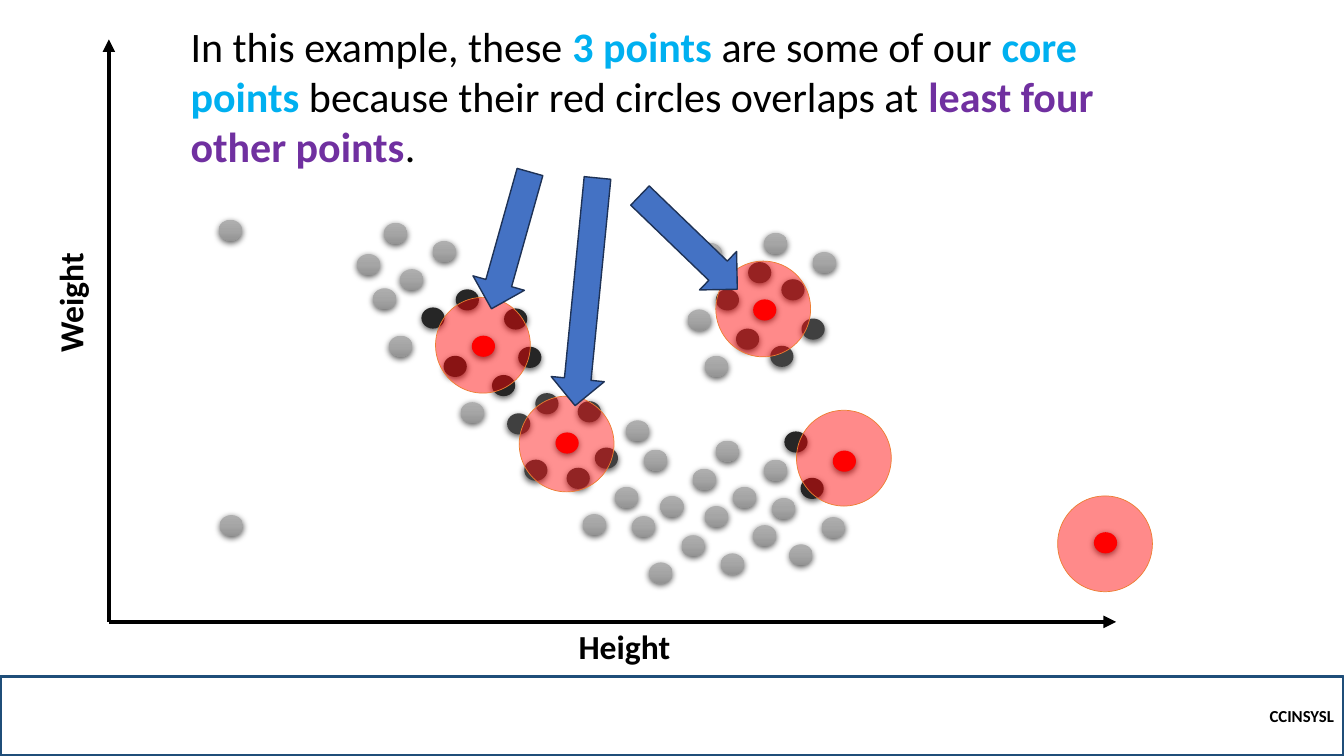
from copy import deepcopy
from dataclasses import dataclass

from lxml import etree
from pptx import Presentation
from pptx.dml.color import RGBColor
from pptx.enum.shapes import MSO_CONNECTOR, MSO_SHAPE
from pptx.enum.text import MSO_ANCHOR, MSO_AUTO_SIZE, PP_ALIGN
from pptx.oxml.ns import qn
from pptx.util import Inches, Pt

STRAIGHT = MSO_CONNECTOR.STRAIGHT
RECTANGLE, OVAL, ARROW = MSO_SHAPE.RECTANGLE, MSO_SHAPE.OVAL, MSO_SHAPE.RIGHT_ARROW
TOP, MIDDLE = MSO_ANCHOR.TOP, MSO_ANCHOR.MIDDLE
GROW = MSO_AUTO_SIZE.SHAPE_TO_FIT_TEXT
LEFT, RIGHT = PP_ALIGN.LEFT, PP_ALIGN.RIGHT
TITLE_ONLY = 5

# Grid: every position and length is a number of columns or rows
COLUMNS, ROWS = 13.33, 7.5
SLIDE_WIDTH, SLIDE_HEIGHT = Inches(13.33), Inches(7.5)


@dataclass(frozen=True)
class Theme:
    font: str = "Calibri"
    text: str = "000000"
    core: str = "00B0F0"
    neighbours: str = "7030A0"
    centre: str = "FF0000"
    ring_line: str = "ED7D31"
    near: str = "262626"
    close: str = "404040"
    far: tuple = ("AFAFAF", "A5A5A5", "939393")
    pointer: str = "4472C4"
    pointer_line: str = "1E3256"
    footer_line: str = "1F4E79"
    statement_size: int = 30
    label_size: int = 24
    footer_size: int = 12


THEME = Theme()
DOT = (0.23, 0.21)
RING = (0.94, 0.95)
POINTER_THICKNESS = 0.53
ORIGIN = (1.08, 6.17)
AXIS_ENDS = [(11.07, 6.17), (1.08, 0.39)]

# Top left corners of the data points, by cluster
FAR_POINTS = [
    (2.17, 2.18), (2.18, 5.11),
    (3.81, 2.21), (3.97, 2.67), (4.29, 2.39), (3.7, 2.86), (3.86, 3.33),
    (3.54, 2.52), (4.57, 3.99),
    (5.63, 3.63), (6.21, 4.17), (5.78, 5.1), (6.1, 4.83), (6.39, 4.46),
    (6.55, 4.92), (6.87, 4.65), (6.27, 5.12), (6.44, 5.58), (6.76, 5.31),
    (7.1, 4.37), (7.27, 4.83), (7.58, 4.56), (6.99, 5.02), (7.15, 5.49),
    (7.47, 5.21), (7.66, 4.94), (7.83, 5.4), (8.15, 5.13),
    (6.93, 2.41), (6.82, 3.07), (6.99, 3.53), (7.58, 2.31), (8.06, 2.5),
]
NEAR_POINTS = [
    (4.18, 3.05), (4.52, 2.87), (5, 3.06), (4.4, 3.53), (4.88, 3.72),
    (5.14, 3.44), (7.78, 4.28), (7.94, 4.74),
]
CLOSE_POINTS = [
    (5.31, 3.9), (5.03, 4.1), (5.2, 4.56), (5.73, 3.98), (5.9, 4.44), (5.62, 4.64),
    (7.1, 2.87), (7.42, 2.6), (7.3, 3.26), (7.75, 2.77), (7.64, 3.43), (7.95, 3.16),
]
CENTRE_POINTS = [(4.68, 3.33), (5.51, 4.29), (8.26, 4.47), (7.47, 2.97), (10.85, 5.28)]

# Left, top, opacity in percent
RINGS = [(4.32, 2.95, 46), (5.15, 3.93, 43), (7.1, 2.59, 46), (7.9, 4.07, 46),
         (10.49, 4.92, 46)]
# Left, top, length, rotation
POINTERS = [(4.36, 2.12, 1.41, 105.7), (6.16, 2.14, 1.34, 43.9), (4.68, 2.63, 2.27, 95.6)]

STATEMENT = [
    ("In this example, these ", THEME.text, False),
    ("3 points", THEME.core, True),
    (" are some of our ", THEME.text, False),
    ("core points", THEME.core, True),
    (" because their red circles overlaps at ", THEME.text, False),
    ("least four other points", THEME.neighbours, True),
    (".", THEME.text, False),
]


def rgb(colour):
    return RGBColor.from_string(colour)


def across(columns):
    return round(SLIDE_WIDTH * columns / COLUMNS)


def down(rows):
    return round(SLIDE_HEIGHT * rows / ROWS)


def box(left, top, width, height):
    return across(left), down(top), across(width), down(height)


def add_alpha(parent, percent):
    etree.SubElement(parent, qn("a:alpha"), val=str(percent * 1000))


def add_plain_shape(slide, kind, place, fill=None, line=None, line_width=1):
    shape = slide.shapes.add_shape(kind, *box(*place))
    shape.shadow.inherit = False
    if fill:
        shape.fill.solid()
        shape.fill.fore_color.rgb = rgb(fill)
    else:
        shape.fill.background()
    if line:
        shape.line.color.rgb = rgb(line)
        shape.line.width = Pt(line_width)
    else:
        shape.line.fill.background()
    return shape


def shade(fill, colours):
    fill.gradient()
    fill.gradient_angle = 270
    first = fill._xPr.find(".//" + qn("a:gs"))
    first.addnext(deepcopy(first))
    for stop, position, colour in zip(fill.gradient_stops, (0, 0.5, 1), colours):
        stop.position = position
        stop.color.rgb = rgb(colour)


def add_data_point(slide, corner, colour):
    point = add_plain_shape(slide, OVAL, corner + DOT)
    if isinstance(colour, tuple):
        shade(point.fill, colour)
    else:
        point.fill.solid()
        point.fill.fore_color.rgb = rgb(colour)
    # Soft shadow just below the point
    effects = point._element.spPr.find(qn("a:effectLst"))
    shadow = etree.SubElement(effects, qn("a:outerShdw"), blurRad=str(Pt(4.5)),
                              dist=str(Pt(1.5)), dir="5400000", algn="ctr", rotWithShape="0")
    add_alpha(etree.SubElement(shadow, qn("a:srgbClr"), val="000000"), 63)


def add_ring(slide, left, top, opacity):
    ring = add_plain_shape(slide, OVAL, (left, top) + RING, THEME.centre,
                           THEME.ring_line, 0.5)
    add_alpha(ring._element.spPr.find(qn("a:solidFill"))[0], opacity)


def add_pointer(slide, left, top, length, rotation):
    pointer = add_plain_shape(slide, ARROW, (left, top, length, POINTER_THICKNESS),
                              THEME.pointer, THEME.pointer_line)
    pointer.rotation = rotation


def add_axis(slide, end):
    axis = slide.shapes.add_connector(STRAIGHT, across(ORIGIN[0]), down(ORIGIN[1]),
                                      across(end[0]), down(end[1]))
    axis.line.color.rgb = rgb(THEME.text)
    axis.line.width = Pt(3)
    etree.SubElement(axis.line._get_or_add_ln(), qn("a:tailEnd"), type="triangle")
    etree.SubElement(axis._element.spPr, qn("a:effectLst"))


def write_bold(paragraph, text, size, alignment):
    paragraph.text = text
    paragraph.alignment = alignment
    font = paragraph.font
    font.name, font.size, font.bold = THEME.font, Pt(size), True
    font.color.rgb = rgb(THEME.text)


def add_axis_label(slide, text, place, rotation=0):
    label = slide.shapes.add_textbox(*box(*place))
    label.rotation = rotation
    label.text_frame.word_wrap = False
    label.text_frame.auto_size = GROW
    write_bold(label.text_frame.paragraphs[0], text, THEME.label_size, LEFT)


def add_footer(slide, text):
    footer = add_plain_shape(slide, RECTANGLE, (0, 6.71, COLUMNS, 0.79),
                             line=THEME.footer_line, line_width=2.25)
    footer.text_frame.vertical_anchor = MIDDLE
    write_bold(footer.text_frame.paragraphs[0], text, THEME.footer_size, RIGHT)


def write_statement(slide):
    title = slide.shapes.title
    title.left, title.top, title.width, title.height = box(1.79, 0.15, 9.28, 1.62)
    frame = title.text_frame
    frame.word_wrap, frame.auto_size, frame.vertical_anchor = True, GROW, TOP
    paragraph = frame.paragraphs[0]
    paragraph.alignment = LEFT
    paragraph.font.name, paragraph.font.size = THEME.font, Pt(THEME.statement_size)
    for text, colour, bold in STATEMENT:
        run = paragraph.add_run()
        run.text, run.font.bold = text, bold
        run.font.color.rgb = rgb(colour)


def main():
    deck = Presentation()
    deck.slide_width, deck.slide_height = SLIDE_WIDTH, SLIDE_HEIGHT
    slide = deck.slides.add_slide(deck.slide_layouts[TITLE_ONLY])

    # Statement, footer and axes
    write_statement(slide)
    add_footer(slide, "CCINSYSL")
    for end in AXIS_ENDS:
        add_axis(slide, end)

    # Data points
    for corners, colour in [(FAR_POINTS, THEME.far), (NEAR_POINTS, THEME.near),
                            (CLOSE_POINTS, THEME.close), (CENTRE_POINTS, THEME.centre)]:
        for corner in corners:
            add_data_point(slide, corner, colour)

    add_axis_label(slide, "Height", (5.64, 6.16, 1.17, 0.5))
    add_axis_label(slide, "Weight", (0.1, 2.75, 1.19, 0.5), 270)

    # Neighbourhood circles and the arrows to core points
    for ring in RINGS:
        add_ring(slide, *ring)
    for pointer in POINTERS:
        add_pointer(slide, *pointer)
    deck.save("out.pptx")


if __name__ == "__main__":
    main()
